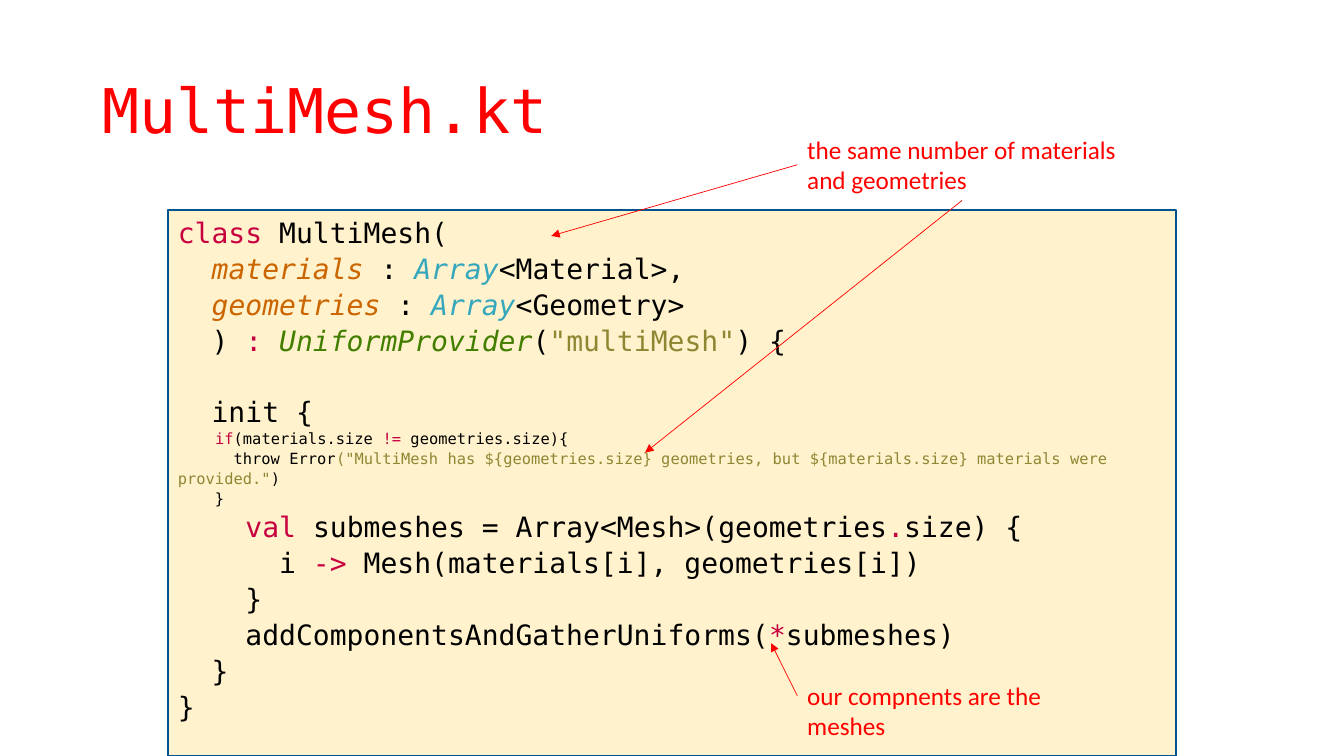
import dataclasses

import pptx
import pptx.dml.color
import pptx.enum.shapes
import pptx.enum.text
import pptx.oxml
import pptx.oxml.ns
import pptx.util

Pt = pptx.util.Pt
Anchor = pptx.enum.text.MSO_ANCHOR
LEFT_SIDE, BOTTOM_SIDE = 1, 2


@dataclasses.dataclass(frozen=True)
class Theme:
    accent: str = "FF0000"
    panel: str = "FFF2CC"
    border: str = "00538E"
    plain: str = "000000"
    keyword: str = "C70040"
    parameter: str = "CB6500"
    type: str = "34A7BD"
    parent: str = "427E00"
    string: str = "8F8634"
    code_font: str = "DejaVu Sans Mono"
    note_font: str = "Calibri"
    title_size: float = 44
    code_size: float = 20
    detail_size: float = 11
    note_size: float = 18
    code_spacing: float = 1.07
    blank_line: float = 25.5
    italic_roles: tuple = ("parameter", "type", "parent")


SIGNATURE = [
    [("class ", "keyword"), ("MultiMesh(", "plain")],
    [("  ", "plain"), ("materials", "parameter"), (" : ", "plain"),
     ("Array", "type"), ("<Material>,", "plain")],
    [("  ", "plain"), ("geometries", "parameter"), (" : ", "plain"),
     ("Array", "type"), ("<Geometry>", "plain")],
    [("  ) ", "plain"), (": ", "keyword"), ("UniformProvider", "parent"),
     ("(", "plain"), ('"multiMesh"', "string"), (") {", "plain")],
]
INIT = [[("  init {", "plain")]]
SIZE_CHECK = [
    [("    ", "plain"), ("if", "keyword"), ("(materials.size ", "plain"),
     ("!= ", "keyword"), ("geometries.size){", "plain")],
    [("      throw Error", "plain"),
     ('("MultiMesh has ${geometries.size} geometries, but '
      '${materials.size} materials were provided."', "string"), (")", "plain")],
    [("    }", "plain")],
]
BODY = [
    [("    ", "plain"), ("val ", "keyword"),
     ("submeshes = Array<Mesh>(geometries", "plain"), (".", "keyword"),
     ("size) {", "plain")],
    [("      i ", "plain"), ("->", "keyword"),
     (" Mesh(materials[i], geometries[i])", "plain")],
    [("    }", "plain")],
    [("    addComponentsAndGatherUniforms(", "plain"), ("*", "keyword"),
     ("submeshes)", "plain")],
    [("  }", "plain")],
    [("}", "plain")],
]


def rgb(color):
    return pptx.dml.color.RGBColor.from_string(color)


def add_text(paragraph, text, *, font, size, color, italic=False):
    run = paragraph.add_run()
    run.text = text
    run.font.name = font
    run.font.size = Pt(size)
    run.font.italic = italic
    run.font.color.rgb = rgb(color)


class SlideBuilder:
    def __init__(self, slide, theme):
        self.slide = slide
        self.theme = theme

    def text_box(self, text, left, top, width, height, *, anchor=Anchor.TOP,
                 spacing=1.0, **text_format):
        shape = self.slide.shapes.add_textbox(Pt(left), Pt(top), Pt(width), Pt(height))
        frame = shape.text_frame
        frame.word_wrap = True
        frame.vertical_anchor = anchor
        paragraph = frame.paragraphs[0]
        paragraph.line_spacing = spacing
        add_text(paragraph, text, color=self.theme.accent, **text_format)
        return shape

    def title(self, text, *box):
        return self.text_box(text, *box, anchor=Anchor.MIDDLE, spacing=0.9,
                             font=self.theme.code_font, size=self.theme.title_size)

    def note(self, text, *box):
        return self.text_box(text, *box, font=self.theme.note_font,
                             size=self.theme.note_size)

    def code_panel(self, sections, left, top, width, height):
        theme = self.theme
        shape = self.slide.shapes.add_shape(
            pptx.enum.shapes.MSO_SHAPE.RECTANGLE, Pt(left), Pt(top), Pt(width), Pt(height))
        shape.shadow.inherit = False
        shape.fill.solid()
        shape.fill.fore_color.rgb = rgb(theme.panel)
        shape.line.color.rgb = rgb(theme.border)
        shape.line.width = Pt(1)
        frame = shape.text_frame
        frame.word_wrap = True
        frame.vertical_anchor = Anchor.TOP
        frame.margin_top = Pt(2)
        paragraph = frame.paragraphs[0]
        for lines, size, space_before in sections:
            for index, line in enumerate(lines):
                if paragraph.runs:
                    paragraph = frame.add_paragraph()
                paragraph.alignment = pptx.enum.text.PP_ALIGN.LEFT
                paragraph.line_spacing = theme.code_spacing
                paragraph.space_before = Pt(0 if index else space_before)
                for text, role in line:
                    add_text(paragraph, text, font=theme.code_font, size=size,
                             color=getattr(theme, role),
                             italic=role in theme.italic_roles)
        return shape

    def arrow(self, source, side, end_x, end_y):
        connector = self.slide.shapes.add_connector(
            pptx.enum.shapes.MSO_CONNECTOR.STRAIGHT, source.left, source.top,
            Pt(end_x), Pt(end_y))
        connector.begin_connect(source, side)
        connector.line.color.rgb = rgb(self.theme.accent)
        connector.line.width = Pt(0.5)
        namespace = pptx.oxml.ns.nsdecls("a")
        line = connector.line._get_or_add_ln()
        line.append(pptx.oxml.parse_xml(f'<a:tailEnd {namespace} type="triangle"/>'))
        properties = connector._element.spPr
        properties.append(pptx.oxml.parse_xml(f"<a:effectLst {namespace}/>"))


def main():
    presentation = pptx.Presentation()
    presentation.slide_width = Pt(960)
    presentation.slide_height = Pt(540)
    theme = Theme()
    slide = presentation.slides.add_slide(presentation.slide_layouts[6])
    builder = SlideBuilder(slide, theme)

    builder.title("MultiMesh.kt", 66, 28.75, 828, 104.4)
    builder.code_panel(
        [(SIGNATURE, theme.code_size, 0),
         (INIT, theme.code_size, theme.blank_line),
         (SIZE_CHECK, theme.detail_size, 0),
         (BODY, theme.code_size, 0)],
        120, 150, 720, 390)
    count_note = builder.note("the same number of materials and geometries",
                              569.5, 92.2, 235.4, 51)
    mesh_note = builder.note("our compnents are the meshes", 569.5, 482.4, 235.4, 29)
    builder.arrow(count_note, LEFT_SIDE, 393.8, 168.5)
    builder.arrow(count_note, BOTTOM_SIDE, 460.8, 323.3)
    builder.arrow(mesh_note, LEFT_SIDE, 550.8, 459.4)

    presentation.save("out.pptx")


if __name__ == "__main__":
    main()
